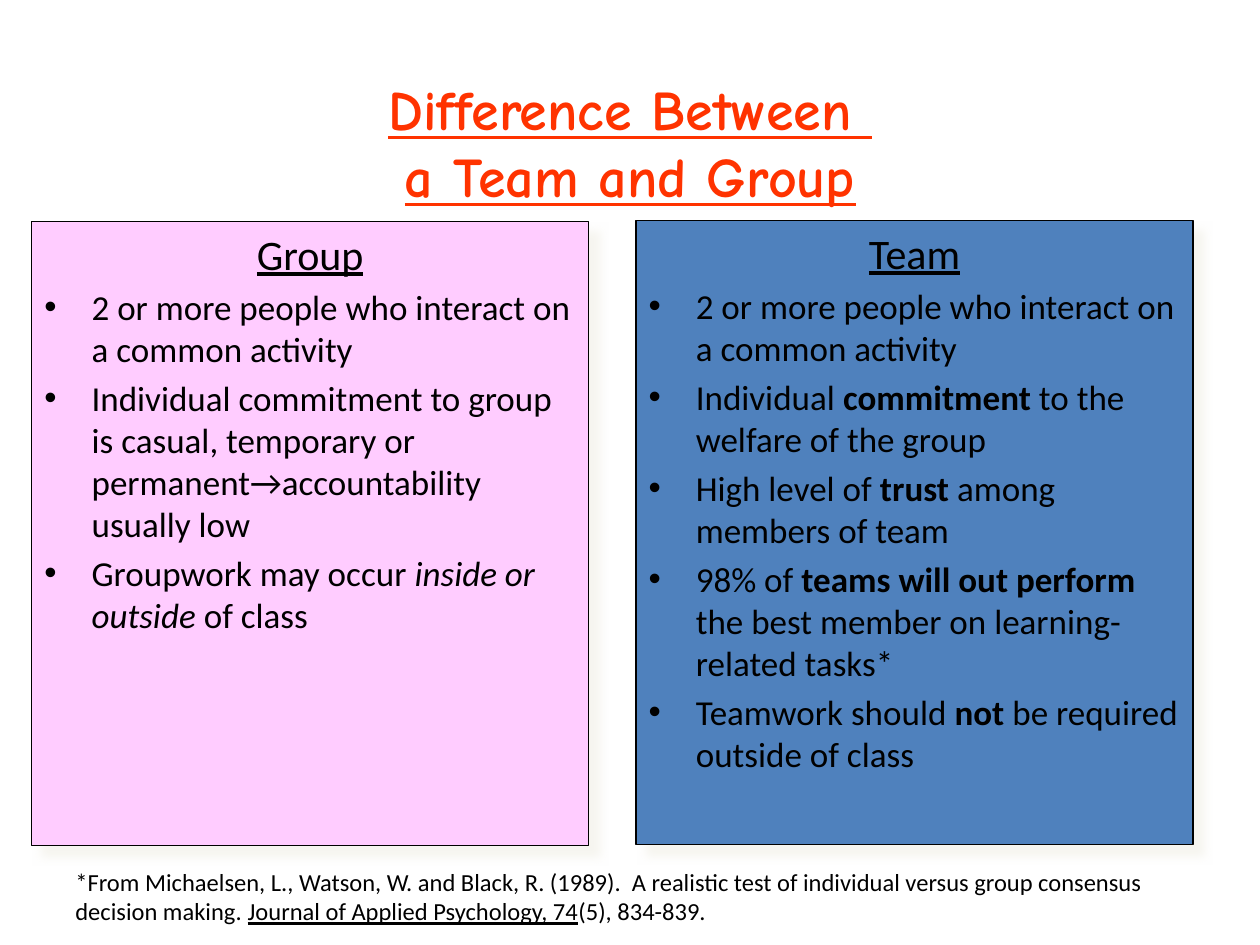
from lxml.etree import SubElement
from pptx import Presentation
from pptx.dml.color import RGBColor
from pptx.enum.text import MSO_ANCHOR, MSO_AUTO_SIZE, PP_ALIGN
from pptx.oxml.ns import qn
from pptx.util import Cm, Pt


def tint(code):
    return RGBColor.from_string(code)


class Deck:
    """Holds the style and the current slide, and adds each kind of element."""

    face = "Calibri"
    head = "Comic Neue"
    ink = "000000"
    red = "FF3300"
    shade = "EEECE1"

    def __init__(self):
        self.show = Presentation()
        self.show.slide_width = Cm(25.4)
        self.show.slide_height = Cm(19.05)
        self.slide = self.show.slides.add_slide(self.show.slide_layouts[3])

    def place(self, shape, left, top, width, height):
        shape.left, shape.top = Cm(left), Cm(top)
        shape.width, shape.height = Cm(width), Cm(height)

    def run(self, para, text, size, style="", face=None, color=None):
        run = para.add_run()
        run.text = text
        font = run.font
        font.name = face or self.face
        font.size = Pt(size)
        font.color.rgb = tint(color or self.ink)
        font.bold = "b" in style
        font.italic = "i" in style
        font.underline = "u" in style

    def title(self, lines, box):
        shape = self.slide.shapes.title
        self.place(shape, *box)
        frame = shape.text_frame
        frame.auto_size = MSO_AUTO_SIZE.NONE
        frame.vertical_anchor = MSO_ANCHOR.MIDDLE
        para = frame.paragraphs[0]
        para.alignment = PP_ALIGN.CENTER
        for spot, line in enumerate(lines):
            if spot:
                para.add_line_break()
            self.run(para, line, 32, "bu", self.head, self.red)

    def shadow(self, shape):
        props = shape._element.spPr
        effect = SubElement(props, qn("a:effectLst"))
        outer = SubElement(effect, qn("a:outerShdw"), blurRad=str(Pt(5)),
                           dist=str(Pt(8.5)), dir="2700000",
                           algn="ctr", rotWithShape="0")
        color = SubElement(outer, qn("a:srgbClr"), val=self.shade)
        SubElement(color, qn("a:alpha"), val="50000")

    def panel(self, slot, name, points, fill, box):
        shape = self.slide.placeholders[slot]
        self.place(shape, *box)
        shape.fill.solid()
        shape.fill.fore_color.rgb = tint(fill)
        shape.line.color.rgb = tint(self.ink)
        shape.line.width = Pt(0.75)
        self.shadow(shape)
        frame = shape.text_frame
        frame.auto_size = MSO_AUTO_SIZE.NONE
        para = frame.paragraphs[0]
        SubElement(para._p.get_or_add_pPr(), qn("a:buNone"))
        para.alignment = PP_ALIGN.CENTER
        para.space_before = Pt(0)
        self.run(para, name, 24, "u")
        for point in points:
            para = frame.add_paragraph()
            para.space_before = Pt(4)
            for text, style in point:
                self.run(para, text, 20, style)

    def note(self, parts, box):
        shape = self.slide.shapes.add_textbox(0, 0, 0, 0)
        self.place(shape, *box)
        frame = shape.text_frame
        frame.word_wrap = True
        for text, style in parts:
            self.run(frame.paragraphs[0], text, 14, style)

    def save(self):
        self.show.save("out.pptx")


def main():
    shared = [("2 or more people who interact on a common activity", "")]
    team = [
        shared,
        [("Individual ", ""), ("commitment", "b"),
         (" to the welfare of the group", "")],
        [("High level of ", ""), ("trust", "b"),
         (" among members of team", "")],
        [("98% of ", ""), ("teams will out perform ", "b"),
         ("the best member on learning-related tasks*", "")],
        [("Teamwork should ", ""), ("not", "b"),
         (" be required outside of class", "")],
    ]
    group = [
        shared,
        [("Individual commitment to group is casual, temporary or "
          "permanent→accountability usually low", "")],
        [("Groupwork may occur ", ""), ("inside or outside", "i"),
         (" of class", "")],
    ]
    source = [
        ("*From Michaelsen, L., Watson, W. and Black, R. (1989).  A realistic "
         "test of individual versus group consensus decision making. ", ""),
        ("Journal of Applied Psychology, 74", "u"),
        ("(5), 834-839.", ""),
    ]
    deck = Deck()
    deck.title(["Difference Between ", "a Team and Group"],
               (0.64, 1.27, 24.13, 3.18))
    deck.panel(1, "Team", team, "4F81BD", (12.82, 4.45, 11.23, 12.58))
    deck.panel(2, "Group", group, "FFCCFF", (0.64, 4.47, 11.23, 12.58))
    deck.note(source, (1.27, 17.35, 23.06, 1.45))
    deck.save()


if __name__ == "__main__":
    main()
